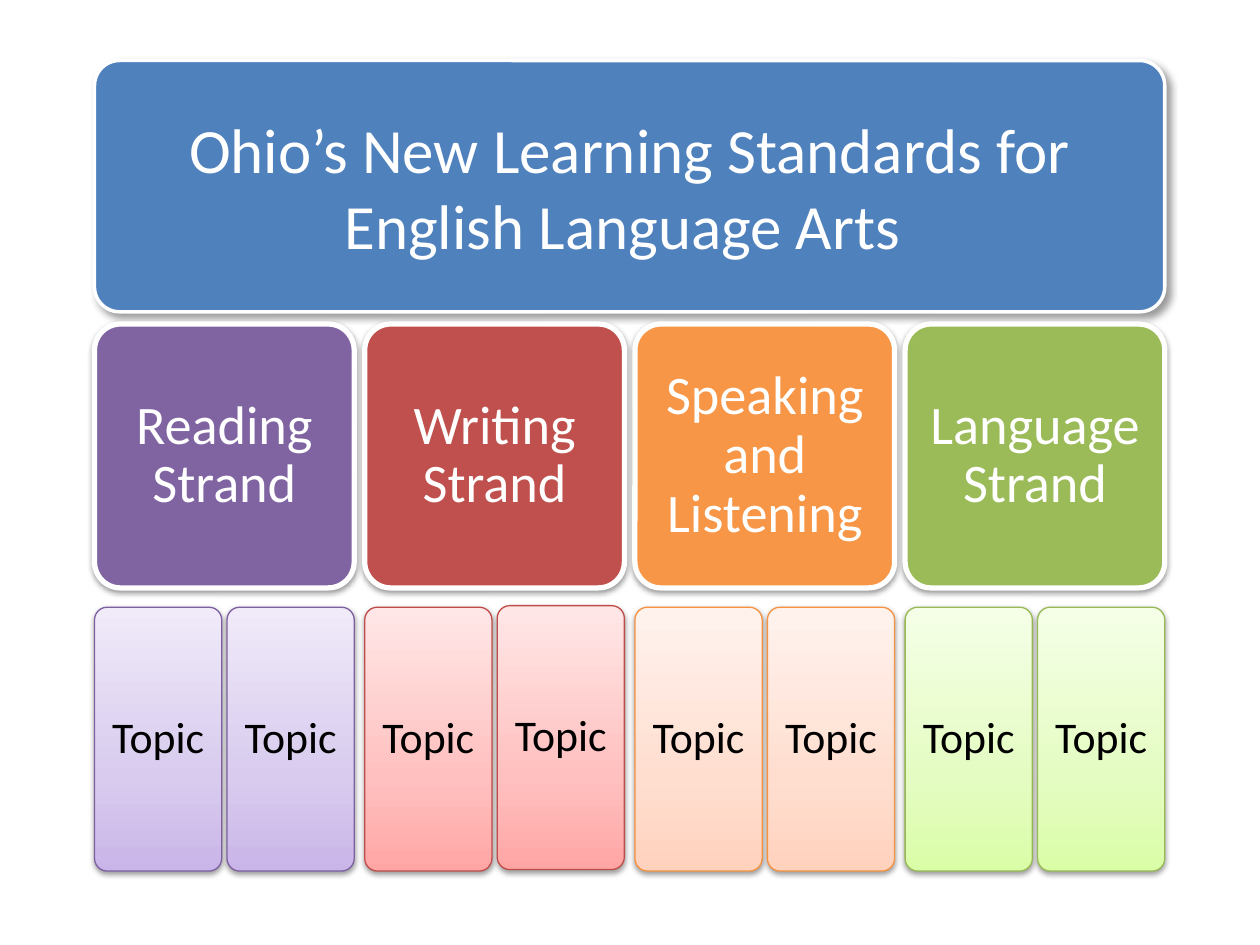
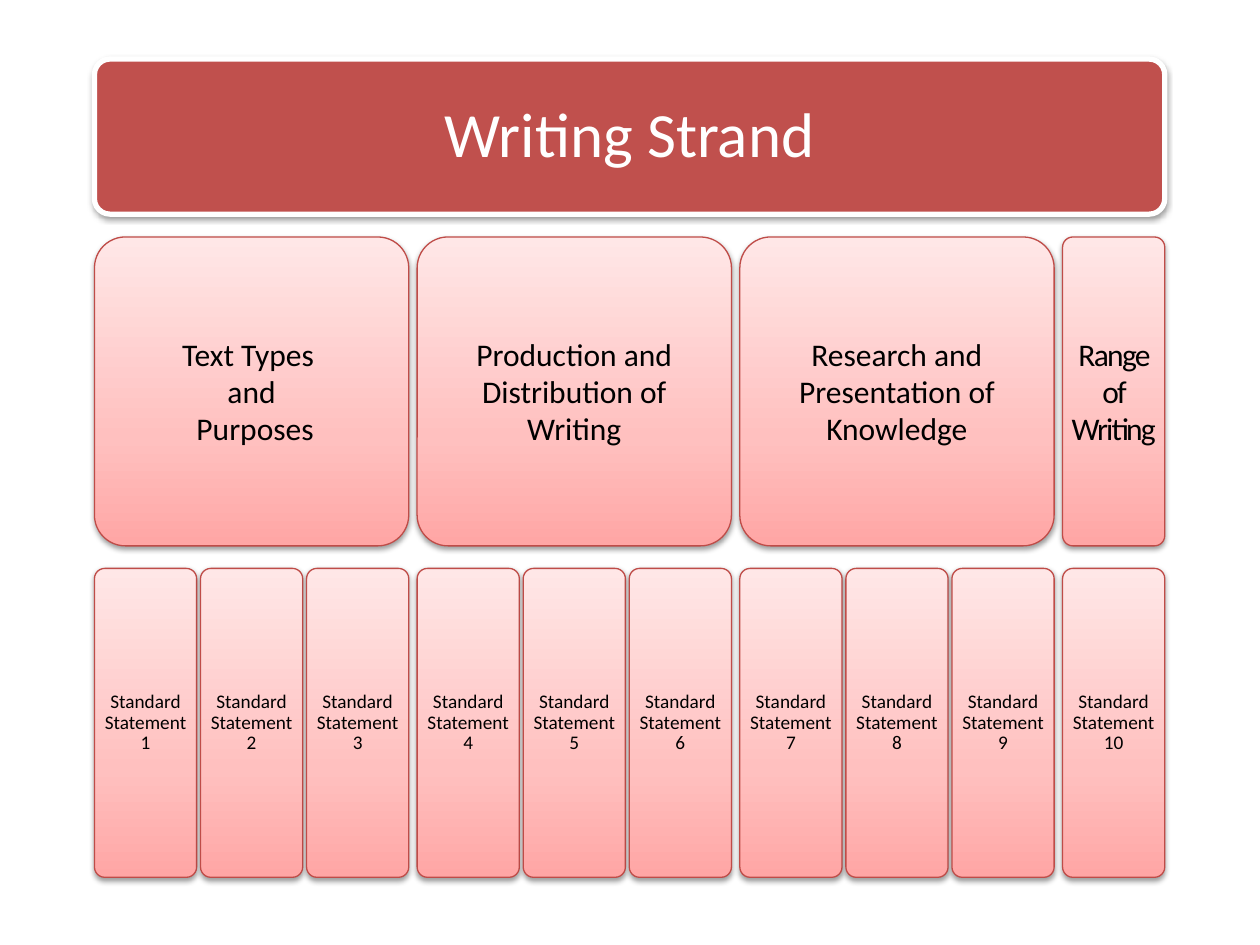
from dataclasses import dataclass

from lxml.etree import SubElement
from pptx import Presentation
from pptx.dml.color import RGBColor
from pptx.enum.shapes import MSO_SHAPE
from pptx.enum.text import MSO_ANCHOR, PP_ALIGN
from pptx.oxml.ns import qn
from pptx.shapes.autoshape import Shape
from pptx.slide import Slide
from pptx.util import Pt

FONT = "Calibri"
COLORS = {
    "white": "FFFFFF",
    "black": "000000",
    "blue": "4F81BD",
    "purple": "8064A2",
    "red": "C0504D",
    "orange": "F79646",
    "green": "9BBB59",
    "purple_line": "7D60A0",
    "red_line": "BF4C48",
    "orange_line": "F69240",
    "green_line": "98B955",
}
# Gradient colours from the bottom edge to the top edge
TINTS = {
    "purple": ("C9B5E8", "D8CBEE", "F0EAF9"),
    "red": ("FFA6A5", "FFC0BF", "FFE7E7"),
    "orange": ("FFD2BD", "FFDED0", "FFF2ED"),
    "green": ("DAFDA7", "E4FCC2", "F5FFE7"),
}
TINT_POSITIONS = (0, 35, 100)

# Both slides span the same width
LEFT = 54
WIDTH = 611.6


@dataclass(frozen=True)
class Box:
    left: float
    top: float
    width: float
    height: float


@dataclass(frozen=True)
class Shadow:
    opacity: int = 38
    blur: float = 3.15
    distance: float = 1.57
    angle: int = 90


@dataclass(frozen=True)
class Strand:
    name: str
    color: str
    second_topic_lift: float = 0


@dataclass(frozen=True)
class TopicGroup:
    paragraphs: tuple[str, ...]
    statements: int


STRANDS = (
    Strand("Reading Strand", "purple"),
    Strand("Writing Strand", "red", second_topic_lift=0.9),
    Strand("Speaking and Listening", "orange"),
    Strand("Language Strand", "green"),
)
WRITING_TOPICS = (
    TopicGroup(("Text Types ", "and", " Purposes"), 3),
    TopicGroup(("Production and Distribution of Writing",), 3),
    TopicGroup(("Research and Presentation of Knowledge",), 3),
    TopicGroup(("Range of Writing",), 1),
)


def add_shadow(shape: Shape, shadow: Shadow) -> None:
    shape.shadow.inherit = False
    effects = shape._element.spPr.find(qn("a:effectLst"))
    outer = SubElement(effects, qn("a:outerShdw"), {
        "blurRad": str(Pt(shadow.blur)),
        "dist": str(Pt(shadow.distance)),
        "dir": str(shadow.angle * 60000),
        "rotWithShape": "0",
    })
    color = SubElement(outer, qn("a:srgbClr"), val=COLORS["black"])
    SubElement(color, qn("a:alpha"), val=str(shadow.opacity * 1000))


def add_rounded_box(slide: Slide, box: Box, line: str, line_width: float,
                    shadow: Shadow) -> Shape:
    shape = slide.shapes.add_shape(
        MSO_SHAPE.ROUNDED_RECTANGLE,
        Pt(box.left), Pt(box.top), Pt(box.width), Pt(box.height))
    shape.adjustments[0] = 0.1
    shape.line.color.rgb = RGBColor.from_string(COLORS[line])
    shape.line.width = Pt(line_width)
    add_shadow(shape, shadow)
    return shape


def add_solid_box(slide: Slide, box: Box, color: str, line_width: float = 3,
                  shadow: Shadow = Shadow()) -> Shape:
    shape = add_rounded_box(slide, box, "white", line_width, shadow)
    shape.fill.solid()
    shape.fill.fore_color.rgb = RGBColor.from_string(COLORS[color])
    return shape


def add_tinted_box(slide: Slide, box: Box, color: str) -> Shape:
    shape = add_rounded_box(slide, box, f"{color}_line", 0.75, Shadow())
    shape.fill.gradient()
    shape.fill.gradient_angle = 90
    stops = shape._element.spPr.find(qn("a:gradFill")).find(qn("a:gsLst"))
    for stop in list(stops):
        stops.remove(stop)
    for position, tint in zip(TINT_POSITIONS, TINTS[color]):
        stop = SubElement(stops, qn("a:gs"), pos=str(position * 1000))
        SubElement(stop, qn("a:srgbClr"), val=tint)
    return shape


def write_text(shape: Shape, *paragraphs: str, size: float,
               color: str = "black", margin: float,
               side_margin: float | None = None,
               line_spacing: float = 0.9, tracking: float = 0) -> None:
    frame = shape.text_frame
    frame.word_wrap = True
    frame.vertical_anchor = MSO_ANCHOR.MIDDLE
    frame.margin_top = frame.margin_bottom = Pt(margin)
    frame.margin_left = frame.margin_right = Pt(
        margin if side_margin is None else side_margin)
    for index, text in enumerate(paragraphs):
        paragraph = frame.add_paragraph() if index else frame.paragraphs[0]
        paragraph.alignment = PP_ALIGN.CENTER
        paragraph.line_spacing = line_spacing
        run = paragraph.add_run()
        run.text = text
        run.font.name = FONT
        run.font.size = Pt(size)
        run.font.color.rgb = RGBColor.from_string(COLORS[color])
        if tracking:
            run._r.get_or_add_rPr().set("spc", str(int(tracking * 100)))


def build_overview(slide: Slide) -> None:
    # Title band
    title = add_solid_box(slide, Box(LEFT, 34.6, WIDTH, 143.6), "blue", 2,
                          Shadow(40, 4, 3, 45))
    write_text(title,
               "Ohio’s New Learning Standards for English Language Arts ",
               size=36, color="white", margin=10.8, line_spacing=1.0)

    # Strands, each above its two topics
    strand_gap, topic_gap, row_height = 6, 3, 150.8
    strand_width = (WIDTH - strand_gap * (len(STRANDS) - 1)) / len(STRANDS)
    topic_width = (strand_width - topic_gap) / 2
    for column, strand in enumerate(STRANDS):
        left = LEFT + column * (strand_width + strand_gap)
        header = add_solid_box(
            slide, Box(left, 185.2, strand_width, row_height), strand.color)
        write_text(header, strand.name, size=31, color="white", margin=9.3)
        for index, lift in enumerate((0, strand.second_topic_lift)):
            topic_left = left + index * (topic_width + topic_gap)
            topic = add_tinted_box(
                slide, Box(topic_left, 347 - lift, topic_width, row_height),
                strand.color)
            write_text(topic, "Topic", size=25, margin=7.5)


def build_writing_strand(slide: Slide) -> None:
    # Title band
    title = add_solid_box(slide, Box(LEFT, 33.8, WIDTH, 88.6), "red")
    write_text(title, "Writing Strand", size=36, color="white", margin=10.8)

    # Topics, each above its numbered standard statements
    group_gap, statement_gap, row_height = 4.8, 2.2, 176.5
    statement_width = 58.4
    left, number = LEFT, 1
    for group in WRITING_TOPICS:
        count = group.statements
        group_width = count * statement_width + (count - 1) * statement_gap
        is_narrow = count == 1
        topic = add_tinted_box(
            slide, Box(left, 135.4, group_width, row_height), "red")
        write_text(topic, *group.paragraphs, size=18, margin=5,
                   side_margin=1.4 if is_narrow else 5,
                   line_spacing=Pt(21), tracking=-1 if is_narrow else 0)
        for index in range(count):
            statement_left = left + index * (statement_width + statement_gap)
            statement = add_tinted_box(
                slide, Box(statement_left, 324.8, statement_width, row_height),
                "red")
            write_text(statement, f"Standard Statement {number}", size=11,
                       margin=3.3)
            number += 1
        left += group_width + group_gap


def main() -> None:
    presentation = Presentation()
    presentation.slide_width = Pt(720)
    presentation.slide_height = Pt(540)
    blank_layout = presentation.slide_layouts[6]
    for build in (build_overview, build_writing_strand):
        build(presentation.slides.add_slide(blank_layout))
    presentation.save("out.pptx")


if __name__ == "__main__":
    main()
